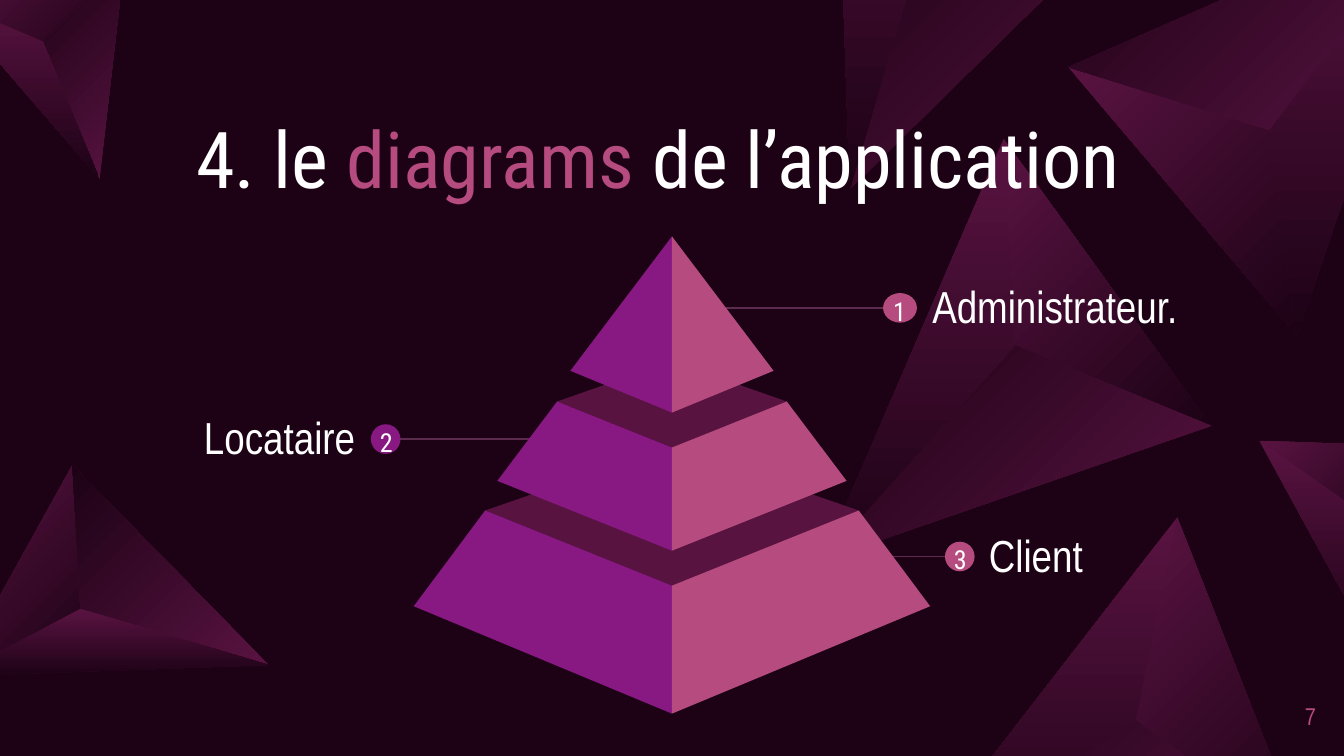
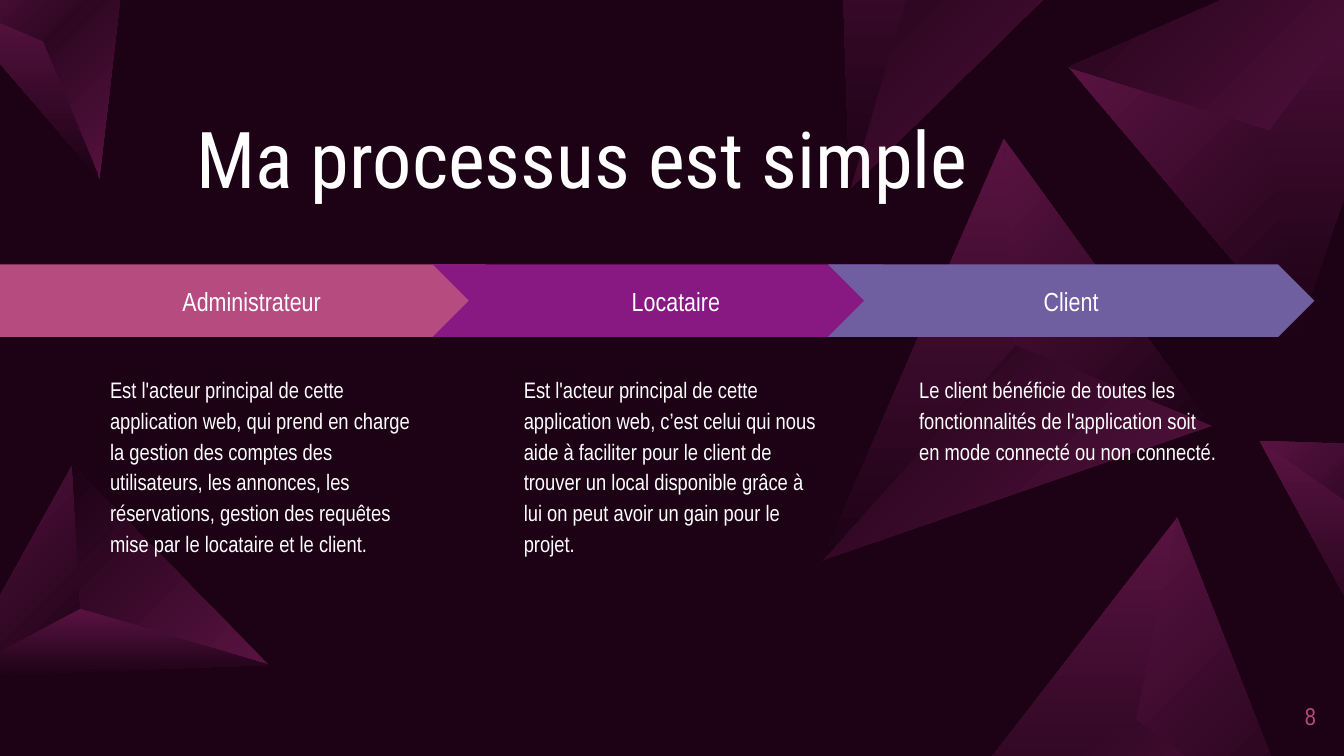
from lxml import etree
from pptx import Presentation
from pptx.dml.color import RGBColor
from pptx.enum.shapes import MSO_CONNECTOR, MSO_SHAPE
from pptx.enum.text import MSO_ANCHOR, PP_ALIGN
from pptx.oxml.ns import qn
from pptx.util import Cm, Pt

LEFT, CENTER, RIGHT = PP_ALIGN.LEFT, PP_ALIGN.CENTER, PP_ALIGN.RIGHT
TOP, MIDDLE, BOTTOM = MSO_ANCHOR.TOP, MSO_ANCHOR.MIDDLE, MSO_ANCHOR.BOTTOM
ELLIPSE, PENTAGON, CHEVRON = MSO_SHAPE.OVAL, MSO_SHAPE.PENTAGON, MSO_SHAPE.CHEVRON
STRAIGHT = MSO_CONNECTOR.STRAIGHT

NIGHT = RGBColor(0x1D, 0x02, 0x16)
PLUM = RGBColor(0x59, 0x13, 0x41)
PINK = RGBColor(0xB6, 0x4B, 0x7F)
PURPLE = RGBColor(0x88, 0x18, 0x82)
VIOLET = RGBColor(0x70, 0x5F, 0xA0)
MAUVE = RGBColor(0x5C, 0x2C, 0x4F)
WHITE = RGBColor(0xFF, 0xFF, 0xFF)

BODY_FONT = "Arial Narrow"
TITLE_FONT = "Roboto Condensed"
SLIDE_WIDTH, SLIDE_HEIGHT = 25.4, 14.29
AXIS = SLIDE_WIDTH / 2

CRYSTALS = [
    [(24.51, 6.35), (20.19, 1.27), (27.31, -1.85), (24, 2.46)],
    [(-0.84, 12.78), (1.37, 8.79), (5.08, 12.57), (1.52, 11.51)],
    [(18.97, 2.62), (22.89, 8.05), (15.54, 10.59), (19.18, 6.53)],
    [(22.25, 9.78), (24.69, 16), (16.94, 16.64), (21.46, 13.61)],
    [(23.8, 8.33), (27.25, 8.46), (25.96, 12.27), (25.45, 9.5)],
    [(15.77, -5.08), (21.62, -1.88), (16.06, 3.58), (17.6, -1.64)],
    [(-1.04, 0), (2.34, -0.61), (1.88, 3.38), (0.81, 0.79)],
]

TIERS = [
    {"edge": (3.53, 9.65), "foot": (4.88, 11.46), "front": 11.07, "bottom": 13.49, "back": 8.43},
    {"edge": (2.17, 7.59), "foot": (3.3, 9.09), "front": 8.46, "bottom": 10.41, "back": 6.83},
    {"edge": (0, 4.47), "foot": (1.92, 7.01), "front": 4.47, "bottom": 7.8, "back": None},
]

CALLOUTS = [
    ("3", "Client", PINK, 10.52, (16.76, 18.39), (17.86, 0.56), (18.44, 5.18), LEFT),
    ("2", "Locataire", PURPLE, 8.3, (10.08, 7.19), (7.01, 0.56), (1.78, 5.18), RIGHT),
    ("1", "Administrateur.", PINK, 5.82, (11.91, 17.32), (16.69, 0.64), (17.37, 5.89), LEFT),
]

STEPS = [
    (PENTAGON, "Administrateur", PINK, 0, 9.86, 1.83,
     "Est l'acteur principal de cette application web, qui prend en charge la gestion "
     "des comptes des utilisateurs, les annonces, les réservations, gestion des requêtes "
     "mise par le locataire et le client."),
    (CHEVRON, "Locataire", PURPLE, 8.18, 9.19, 9.65,
     "Est l'acteur principal de cette application web, c’est celui qui nous aide à "
     "faciliter pour le client de trouver un local disponible grâce à lui on peut avoir "
     "un gain pour le projet."),
    (CHEVRON, "Client", VIOLET, 15.65, 9.19, 17.12,
     "Le client bénéficie de toutes les fonctionnalités de l'application soit en mode "
     "connecté ou non connecté."),
]


def write(frame, text, size=14, font=BODY_FONT, color=WHITE, align=LEFT, anchor=MIDDLE,
          inset=0.25, line_spacing=None, space_after=None):
    frame.word_wrap = True
    frame.vertical_anchor = anchor
    frame.margin_left = frame.margin_right = Cm(inset)
    frame.margin_top = frame.margin_bottom = Cm(inset)
    paragraph = frame.paragraphs[0]
    paragraph.alignment = align
    paragraph.line_spacing = line_spacing
    paragraph.space_after = space_after
    parts = [(text, color)] if isinstance(text, str) else text
    for words, part_color in parts:
        run = paragraph.add_run()
        run.text = words
        run.font.size = Pt(size)
        run.font.name = font
        run.font.color.rgb = part_color


class Deck:
    def __init__(self):
        self.presentation = Presentation()
        self.presentation.slide_width = Cm(SLIDE_WIDTH)
        self.presentation.slide_height = Cm(SLIDE_HEIGHT)
        self.layout = self.presentation.slide_layouts[6]
        self.slide = None

    def style_layout(self):
        tree = self.layout.element.cSld.spTree
        for placeholder in list(self.layout.placeholders):
            tree.remove(placeholder.element)
        background = self.layout.background.fill
        background.solid()
        background.fore_color.rgb = NIGHT
        for first, second, third, core in CRYSTALS:
            facets = [((first, second, core), 315), ((second, third, core), 135),
                      ((first, core, third), 270)]
            for points, angle in facets:
                across, down = zip(*points)
                if min(across) < SLIDE_WIDTH and max(down) > 0:
                    tree.append(self.outline(points, PLUM, angle).element)

    def new_slide(self, title, number):
        self.slide = self.presentation.slides.add_slide(self.layout)
        if number == "7":
            self.style_layout()
        self.text(3.71, 2.24, 17.98, 1.65, title, size=42, font=TITLE_FONT,
                  anchor=BOTTOM, inset=0, line_spacing=0.9)
        self.text(23.75, 12.98, 1.12, 1.09, number, size=13, color=PINK, align=RIGHT, inset=0)

    def text(self, left, top, width, height, text, **style):
        box = self.slide.shapes.add_textbox(Cm(left), Cm(top), Cm(width), Cm(height))
        write(box.text_frame, text, **style)

    def paint(self, shape, color):
        shape.shadow.inherit = False
        shape.fill.solid()
        shape.fill.fore_color.rgb = color
        shape.line.fill.background()

    def shape(self, kind, left, top, width, height, color):
        shape = self.slide.shapes.add_shape(kind, Cm(left), Cm(top), Cm(width), Cm(height))
        self.paint(shape, color)
        return shape

    def outline(self, points, color, gradient_angle=None):
        corners = [(Cm(x), Cm(y)) for x, y in points]
        builder = self.slide.shapes.build_freeform(*corners[0])
        builder.add_line_segments(corners[1:], close=True)
        shape = builder.convert_to_shape()
        self.paint(shape, color)
        if gradient_angle is not None:
            shape.fill.gradient()
            shape.fill.gradient_angle = gradient_angle
            for stop, stop_color in zip(shape.fill.gradient_stops, (color, NIGHT)):
                stop.color.rgb = stop_color
        return shape

    def line(self, start, end, y):
        connector = self.slide.shapes.add_connector(STRAIGHT, Cm(start), Cm(y), Cm(end), Cm(y))
        connector.line.color.rgb = MAUVE
        connector.line.width = Pt(0.75)
        etree.SubElement(connector.element.spPr, qn("a:effectLst"))

    def callout(self, number, label, color, y, leader, dot, label_box, align):
        self.line(*leader, y)
        self.text(label_box[0], y - 1.96, label_box[1], 3.84, label, size=24, align=align)
        self.shape(ELLIPSE, dot[0], y - 0.28, dot[1], 0.56, color)
        self.text(dot[0] - 0.08, y - 0.49, dot[1] + 0.14, 0.86, number, font=TITLE_FONT,
                  align=CENTER, anchor=TOP, space_after=Pt(16))

    def tier(self, edge, foot, front, bottom, back):
        if back is not None:
            self.outline([(AXIS - edge[0], edge[1]), (AXIS, front),
                          (AXIS + edge[0], edge[1]), (AXIS, back)], PLUM)
        for side, color in ((-1, PURPLE), (1, PINK)):
            face = [edge, foot, (0, bottom), (0, front)]
            self.outline([(AXIS + side * x, y) for x, y in face], color)

    def step(self, kind, label, color, left, width, text_left, description):
        arrow = self.shape(kind, left, 5, width, 1.37, color)
        write(arrow.text_frame, label, align=CENTER)
        self.text(text_left, 6.78, 6.22, 5.36, description, size=12, anchor=TOP,
                  line_spacing=1.15)


def main():
    deck = Deck()
    deck.new_slide([("4. le ", WHITE), ("diagrams", PINK), (" de l’application", WHITE)], "7")
    for callout in CALLOUTS:
        deck.callout(*callout)
    for tier in TIERS:
        deck.tier(**tier)

    deck.new_slide("Ma processus est simple", "8")
    for step in STEPS:
        deck.step(*step)
    deck.presentation.save("out.pptx")


if __name__ == "__main__":
    main()
